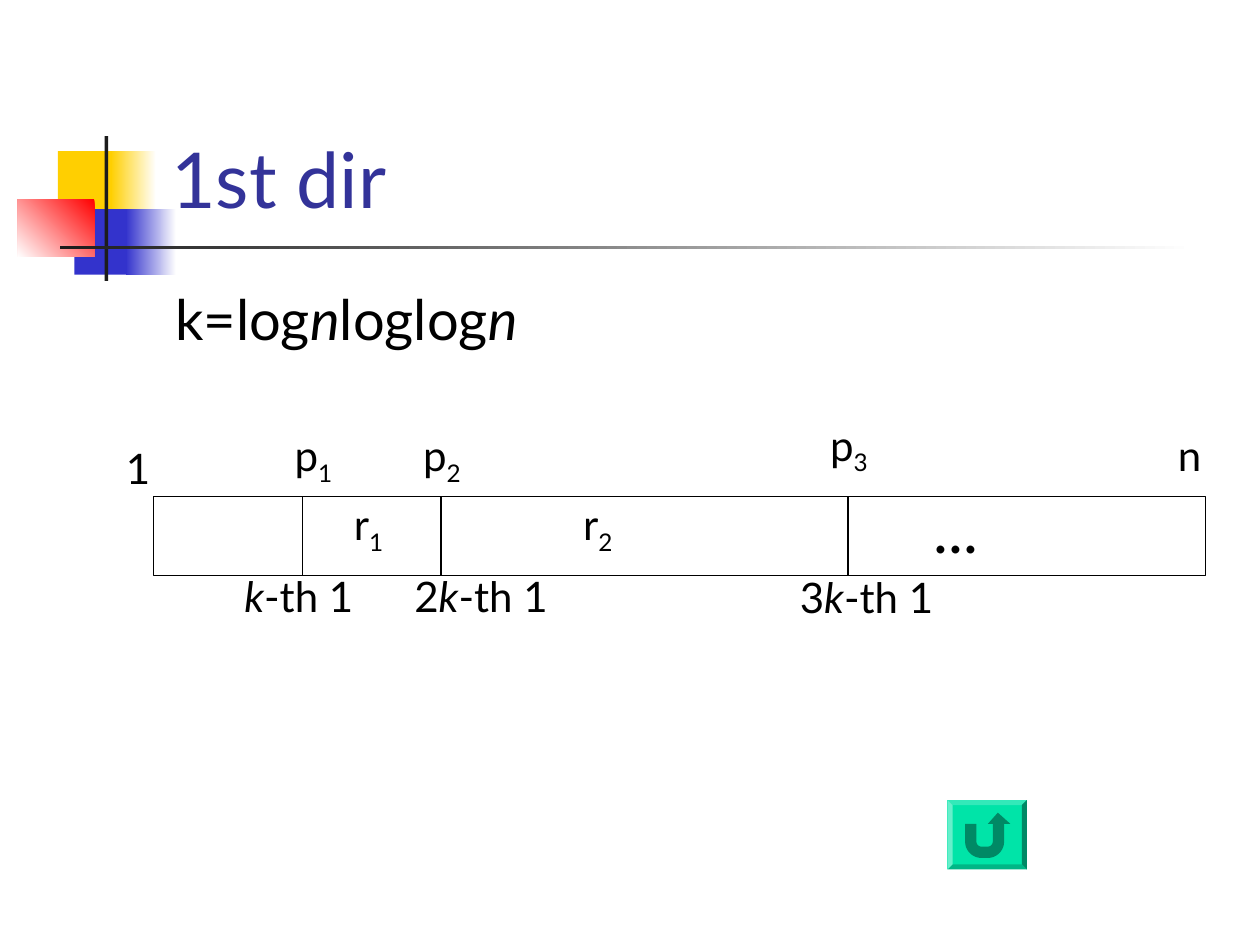
from math import cos, radians, sin

from lxml.etree import SubElement
from pptx import Presentation
from pptx.dml.color import RGBColor
from pptx.enum.shapes import MSO_CONNECTOR, MSO_SHAPE
from pptx.enum.text import MSO_ANCHOR, MSO_AUTO_SIZE, PP_ALIGN
from pptx.oxml.ns import qn
from pptx.util import Inches, Pt

FONT = "Lato"
WHITE = RGBColor(0xFF, 0xFF, 0xFF)
BLACK = RGBColor(0x00, 0x00, 0x00)
CHARCOAL = RGBColor(0x1C, 0x1C, 0x1C)
YELLOW = RGBColor(0xFF, 0xCF, 0x01)
BLUE = RGBColor(0x33, 0x33, 0xCC)
RED = RGBColor(0xFF, 0x00, 0x00)
TITLE_BLUE = RGBColor(0x33, 0x33, 0x99)
GREEN = RGBColor(0x00, 0xE4, 0xA8)
GREEN_TOP = RGBColor(0x33, 0xE9, 0xB9)
GREEN_LEFT = RGBColor(0x66, 0xEF, 0xCB)
GREEN_BOTTOM = RGBColor(0x00, 0xB6, 0x86)
GREEN_DARK = RGBColor(0x00, 0x89, 0x65)

BAR_LEFT, BAR_TOP, BAR_WIDTH, BAR_HEIGHT = 1.22, 3.94, 8.35, 0.63
DIVIDERS = (2.4, 3.5, 6.73)


def place(shape, left, top, width, height):
    shape.left, shape.top = Inches(left), Inches(top)
    shape.width, shape.height = Inches(width), Inches(height)


def write_spans(paragraph, spans, size, color=BLACK):
    for text, style in spans:
        span = paragraph.add_run()
        span.text = text
        span.font.name = FONT
        span.font.size = Pt(size)
        span.font.color.rgb = color
        span.font.italic = style == "italic"
        if style == "subscript":
            span._r.get_or_add_rPr().set("baseline", "-25000")


def add_rectangle(page, bounds):
    box = page.shapes.add_shape(MSO_SHAPE.RECTANGLE, *map(Inches, bounds))
    box.shadow.inherit = False
    return box


def add_block(page, bounds, color):
    block = add_rectangle(page, bounds)
    block.fill.solid()
    block.fill.fore_color.rgb = color
    block.line.fill.background()


def add_fade(page, bounds, start, end, angle=180):
    fade = add_rectangle(page, bounds)
    fade.fill.gradient()
    fade.fill.gradient_angle = angle
    for stop, color in zip(fade.fill.gradient_stops, (start, end)):
        stop.color.rgb = color
    fade.line.fill.background()


def add_polygon(page, points, color):
    corners = [(Inches(x), Inches(y)) for x, y in points]
    builder = page.shapes.build_freeform(*corners[0], scale=1.0)
    builder.add_line_segments(corners[1:], close=True)
    polygon = builder.convert_to_shape()
    polygon.shadow.inherit = False
    polygon.fill.solid()
    polygon.fill.fore_color.rgb = color
    polygon.line.fill.background()


def add_label(page, left, top, width, height, spans, size=24):
    box = page.shapes.add_textbox(*map(Inches, (left, top, width, height)))
    box.text_frame.word_wrap = False
    box.text_frame.auto_size = MSO_AUTO_SIZE.SHAPE_TO_FIT_TEXT
    write_spans(box.text_frame.paragraphs[0], spans, size)


def add_decoration(page):
    add_block(page, (0.46, 1.2, 0.48, 0.52), YELLOW)
    add_fade(page, (0.88, 1.2, 0.36, 0.52), WHITE, YELLOW)
    add_block(page, (0.59, 1.66, 0.46, 0.52), BLUE)
    add_fade(page, (1, 1.66, 0.4, 0.52), WHITE, BLUE)
    add_fade(page, (0.14, 1.58, 0.61, 0.46), RED, WHITE, 225)
    add_block(page, (0.83, 1.08, 0.03, 1.15), CHARCOAL)
    add_fade(page, (0.48, 1.95, 9, 0.03), WHITE, CHARCOAL)


def fill_title(title):
    place(title, 1.26, 0.23, 8.52, 1.6)
    frame = title.text_frame
    frame.auto_size = MSO_AUTO_SIZE.NONE
    frame.vertical_anchor = MSO_ANCHOR.BOTTOM
    frame.paragraphs[0].alignment = PP_ALIGN.LEFT
    write_spans(frame.paragraphs[0], [("1st dir", "")], 44, TITLE_BLUE)


def fill_body(body):
    place(body, 1.29, 2.21, 3.47, 0.68)
    frame = body.text_frame
    frame.auto_size = MSO_AUTO_SIZE.NONE
    para = frame.paragraphs[0]
    properties = para._p.get_or_add_pPr()
    properties.set("marL", str(Inches(0.38)))
    properties.set("indent", str(-Inches(0.38)))
    SubElement(properties, qn("a:buNone"))
    para.space_before = Pt(0)
    spans = [("k=log", ""), ("n", "italic"), ("loglog", ""), ("n", "italic")]
    write_spans(para, spans, 32)


def add_bar(page):
    bar = add_rectangle(page, (BAR_LEFT, BAR_TOP, BAR_WIDTH, BAR_HEIGHT))
    bar.fill.background()
    bar.line.color.rgb = BLACK
    bar.line.width = Pt(0.75)
    for x in DIVIDERS:
        ends = map(Inches, (x, BAR_TOP, x, BAR_TOP + BAR_HEIGHT))
        divider = page.shapes.add_connector(MSO_CONNECTOR.STRAIGHT, *ends)
        divider.line.color.rgb = BLACK
        divider.line.width = Pt(0.75)
        SubElement(divider._element.spPr, qn("a:effectLst"))


def add_bar_labels(page):
    for left, top, width, factor in (
        (1.84, 4.48, 1.08, ""), (3.19, 4.48, 1.26, "2"), (6.25, 4.49, 1.26, "3"),
    ):
        prefix = [(factor, "")] if factor else []
        add_label(page, left, top, width, 0.5,
                  prefix + [("k", "italic"), ("-th 1", "")])
    for left, top, width, letter, index in (
        (4.53, 3.91, 0.45, "r", "2"), (2.71, 3.91, 0.45, "r", "1"),
        (2.24, 3.36, 0.51, "p", "1"), (3.26, 3.36, 0.51, "p", "2"),
        (6.49, 3.28, 0.51, "p", "3"),
    ):
        add_label(page, left, top, width, 0.56,
                  [(letter, ""), (index, "subscript")])
    add_label(page, 0.9, 3.46, 0.39, 0.5, [("1", "")])
    add_label(page, 9.25, 3.36, 0.4, 0.5, [("n", "")])
    add_label(page, 7.31, 3.84, 0.6, 0.7, [("...", "")], 36)


def arc(center_x, center_y, radius, start, end):
    step = 10 if end > start else -10
    return [(center_x + radius * cos(radians(angle)),
             center_y + radius * sin(radians(angle)))
            for angle in range(start, end + step, step)]


def add_return_button(page):
    left, top, right, bottom, bevel = 7.52, 6.35, 8.15, 6.9, 0.04
    outer = [(left, top), (right, top), (right, bottom), (left, bottom)]
    inner = [(left + bevel, top + bevel), (right - bevel, top + bevel),
             (right - bevel, bottom - bevel), (left + bevel, bottom - bevel)]
    add_polygon(page, outer, GREEN)
    sides = (GREEN_TOP, GREEN_DARK, GREEN_BOTTOM, GREEN_LEFT)
    for side, color in enumerate(sides):
        after = (side + 1) % 4
        add_polygon(page, [outer[side], outer[after], inner[after], inner[side]],
                    color)
    arrow = [(7.66, 6.54), (7.75, 6.54)]
    arrow += arc(7.79, 6.68, 0.04, 180, 90) + arc(7.84, 6.68, 0.04, 90, 0)
    arrow += [(7.88, 6.54), (7.84, 6.54), (7.92, 6.45), (8.02, 6.54), (7.97, 6.54)]
    arrow += arc(7.84, 6.68, 0.13, 0, 90) + arc(7.79, 6.68, 0.13, 90, 180)
    add_polygon(page, arrow, GREEN_DARK)


def main():
    deck = Presentation()
    deck.slide_width, deck.slide_height = Inches(10), Inches(7.5)
    page = deck.slides.add_slide(deck.slide_layouts[1])
    add_decoration(page)
    fill_title(page.shapes.title)
    fill_body(page.placeholders[1])
    add_bar(page)
    add_bar_labels(page)
    add_return_button(page)
    deck.save("out.pptx")


if __name__ == "__main__":
    main()
